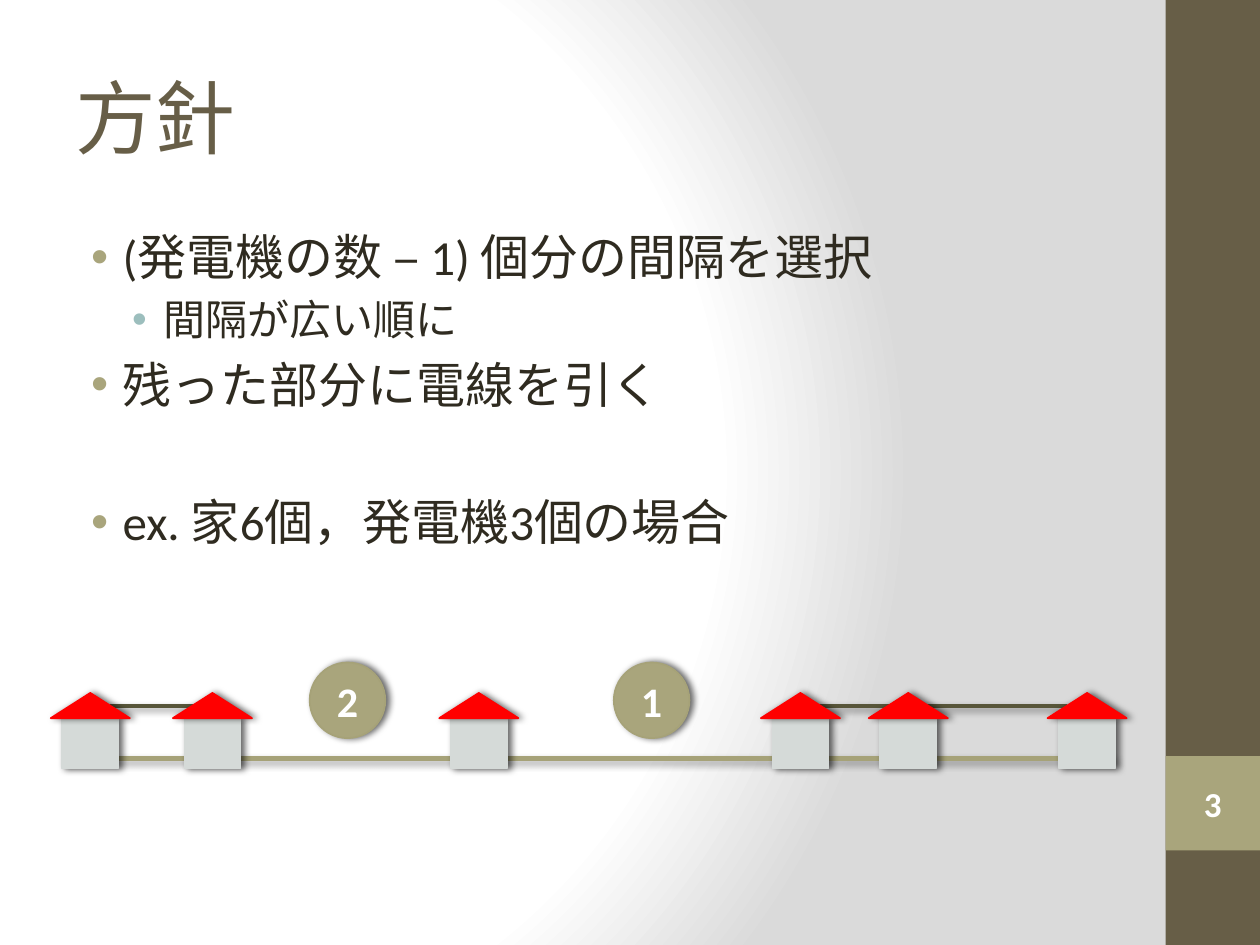
from dataclasses import dataclass

from pptx import Presentation
from pptx.dml.color import RGBColor
from pptx.enum.shapes import MSO_CONNECTOR, MSO_SHAPE
from pptx.enum.text import MSO_ANCHOR, PP_ALIGN
from pptx.oxml import parse_xml
from pptx.oxml.ns import nsdecls, qn
from pptx.util import Pt

RECTANGLE, TRIANGLE, OVAL = MSO_SHAPE.RECTANGLE, MSO_SHAPE.ISOSCELES_TRIANGLE, MSO_SHAPE.OVAL
STRAIGHT = MSO_CONNECTOR.STRAIGHT
MIDDLE, TOP = MSO_ANCHOR.MIDDLE, MSO_ANCHOR.TOP
LEFT, CENTER = PP_ALIGN.LEFT, PP_ALIGN.CENTER

BROWN = RGBColor(0x67, 0x5E, 0x47)
KHAKI = RGBColor(0xA9, 0xA5, 0x7C)
KHAKI_LINE = RGBColor(0xA6, 0xA2, 0x78)
TEAL = RGBColor(0x9C, 0xBE, 0xBD)
INK = RGBColor(0x2F, 0x2B, 0x20)
WIRE = RGBColor(0x58, 0x56, 0x3A)
WALL = RGBColor(0xD5, 0xDA, 0xD8)
ROOF = RGBColor(0xFF, 0x00, 0x00)
WHITE = RGBColor(0xFF, 0xFF, 0xFF)
FONT = "Calibri"

WALL_WIDTH, WALL_TOP, WALL_HEIGHT = 32, 410.4, 28.8
ROOF_WIDTH, ROOF_TOP, ROOF_HEIGHT = 45.2, 396, 14.4
WIRE_Y = ROOF_TOP + ROOF_HEIGHT / 2
GROUND_Y = 433.4
HOUSE_CENTERS = (51.6, 121.4, 273.6, 457.4, 519, 621.2)
WIRED_HOUSES = ((3, 5), (0, 1))


@dataclass(frozen=True)
class Shadow:
    opacity: int
    blur: float
    distance: float
    angle: int


@dataclass(frozen=True)
class Bullet:
    text: str
    size: float
    color: RGBColor
    margin: float
    space_before: float
    level: int = 0


@dataclass(frozen=True)
class Badge:
    label: str
    left: float


SHAPE_SHADOW = Shadow(60, 4, 2, 0)
LINE_SHADOW = Shadow(40, 4, 3, 45)
BULLETS = (
    Bullet("(発電機の数 – 1) 個分の間隔を選択", 28, KHAKI, 27, 0),
    Bullet("間隔が広い順に", 24, TEAL, 50.4, 4.8, 1),
    Bullet("残った部分に電線を引く", 28, KHAKI, 27, 5.6),
    Bullet("ex. 家6個，発電機3個の場合", 28, KHAKI, 27, 45),
)
BADGES = (Badge("1", 350.8), Badge("2", 177))


def apply_format(target, values: dict) -> None:
    for name, value in values.items():
        setattr(target, name, value)


def add_shadow(item, shadow: Shadow) -> None:
    item.element.spPr.append(parse_xml(
        f'<a:effectLst {nsdecls("a")}><a:outerShdw blurRad="{Pt(shadow.blur)}" '
        f'dist="{Pt(shadow.distance)}" dir="{shadow.angle * 60000}" algn="tl" rotWithShape="0">'
        f'<a:srgbClr val="000000"><a:alpha val="{shadow.opacity * 1000}"/></a:srgbClr>'
        '</a:outerShdw></a:effectLst>'))


def add_block(slide, kind, box: tuple, fill: RGBColor, line: RGBColor | None = None):
    """Add a filled shape; an outlined one also casts a shadow."""
    shape = slide.shapes.add_shape(kind, *map(Pt, box))
    shape.fill.solid()
    shape.fill.fore_color.rgb = fill
    if line is None:
        shape.line.fill.background()
        shape.shadow.inherit = False
    else:
        shape.line.color.rgb = line
        shape.line.width = Pt(1)
        add_shadow(shape, SHAPE_SHADOW)
    return shape


def add_line(slide, start: float, end: float, y: float, color: RGBColor, width: float) -> None:
    line = slide.shapes.add_connector(STRAIGHT, Pt(start), Pt(y), Pt(end), Pt(y))
    line.line.color.rgb = color
    line.line.width = Pt(width)
    add_shadow(line, LINE_SHADOW)


def write_label(shape, text: str, size: float) -> None:
    apply_format(shape.text_frame, {
        "vertical_anchor": MIDDLE, "word_wrap": True, "margin_left": 0, "margin_right": 0})
    para = shape.text_frame.paragraphs[0]
    para.alignment = CENTER
    span = para.add_run()
    span.text = text
    apply_format(span.font, {"name": FONT, "size": Pt(size), "bold": True})
    span.font.color.rgb = WHITE


def set_background(slide) -> None:
    slide.background.fill.solid()
    solid = next(slide.element.iter(qn("a:solidFill")))
    stops = "".join(f'<a:gs pos="{place * 1000}"><a:srgbClr val="{color}"/></a:gs>'
                    for place, color in ((0, "FFFFFF"), (75, "FFFFFF"), (100, "DADADA")))
    solid.getparent().replace(solid, parse_xml(
        f'<a:gradFill {nsdecls("a")} rotWithShape="1"><a:gsLst>{stops}</a:gsLst>'
        '<a:path path="circle"><a:fillToRect l="20000" t="50000" r="100000" b="50000"/></a:path>'
        '</a:gradFill>'))


def add_title(slide, text: str) -> None:
    title = slide.shapes.title
    apply_format(title, {"left": Pt(36), "top": Pt(21.6), "width": Pt(600), "height": Pt(90)})
    title.text_frame.vertical_anchor = MIDDLE
    para = title.text_frame.paragraphs[0]
    para.alignment = LEFT
    span = para.add_run()
    span.text = text
    apply_format(span.font, {"name": FONT, "size": Pt(46)})
    span.font.color.rgb = BROWN
    span.font._element.set("spc", "-100")


def add_bullets(slide) -> None:
    box = slide.shapes.add_textbox(Pt(36), Pt(126), Pt(600), Pt(378))
    apply_format(box.text_frame, {"word_wrap": True, "vertical_anchor": TOP})
    for index, bullet in enumerate(BULLETS):
        para = box.text_frame.paragraphs[0] if index == 0 else box.text_frame.add_paragraph()
        apply_format(para, {"level": bullet.level, "space_before": Pt(bullet.space_before)})
        properties = para._p.get_or_add_pPr()
        properties.set("marL", str(Pt(bullet.margin)))
        properties.set("indent", str(Pt(-18)))
        for markup in (
            f'<a:buClr {nsdecls("a")}><a:srgbClr val="{bullet.color}"/></a:buClr>',
            f'<a:buFont {nsdecls("a")} typeface="Arial"/>',
            f'<a:buChar {nsdecls("a")} char="•"/>',
        ):
            properties.append(parse_xml(markup))
        span = para.add_run()
        span.text = bullet.text
        apply_format(span.font, {"name": FONT, "size": Pt(bullet.size)})
        span.font.color.rgb = INK


def add_house(slide, center: float) -> None:
    wall = (center - WALL_WIDTH / 2, WALL_TOP, WALL_WIDTH, WALL_HEIGHT)
    roof = (center - ROOF_WIDTH / 2, ROOF_TOP, ROOF_WIDTH, ROOF_HEIGHT)
    add_block(slide, RECTANGLE, wall, WALL, WALL)
    add_block(slide, TRIANGLE, roof, ROOF, ROOF)


def main() -> None:
    deck = Presentation()
    apply_format(deck, {"slide_width": Pt(720), "slide_height": Pt(540)})
    slide = deck.slides.add_slide(deck.slide_layouts.get_by_name("Title Only"))
    set_background(slide)

    add_block(slide, RECTANGLE, (666, 0, 54, 540), BROWN)
    write_label(add_block(slide, RECTANGLE, (666, 432, 54, 54), KHAKI), "3", 20)
    add_title(slide, "方針")
    add_bullets(slide)

    for first, last in WIRED_HOUSES:
        add_line(slide, HOUSE_CENTERS[first] + ROOF_WIDTH / 4,
                 HOUSE_CENTERS[last] - ROOF_WIDTH / 4, WIRE_Y, WIRE, 2.25)
    add_line(slide, 36, 636, GROUND_Y, KHAKI_LINE, 2.5)
    for center in HOUSE_CENTERS:
        add_house(slide, center)
    for badge in BADGES:
        disc = add_block(slide, OVAL, (badge.left, 378.6, 43.2, 43.2), KHAKI, KHAKI_LINE)
        write_label(disc, badge.label, 24)

    deck.save("out.pptx")


if __name__ == "__main__":
    main()
